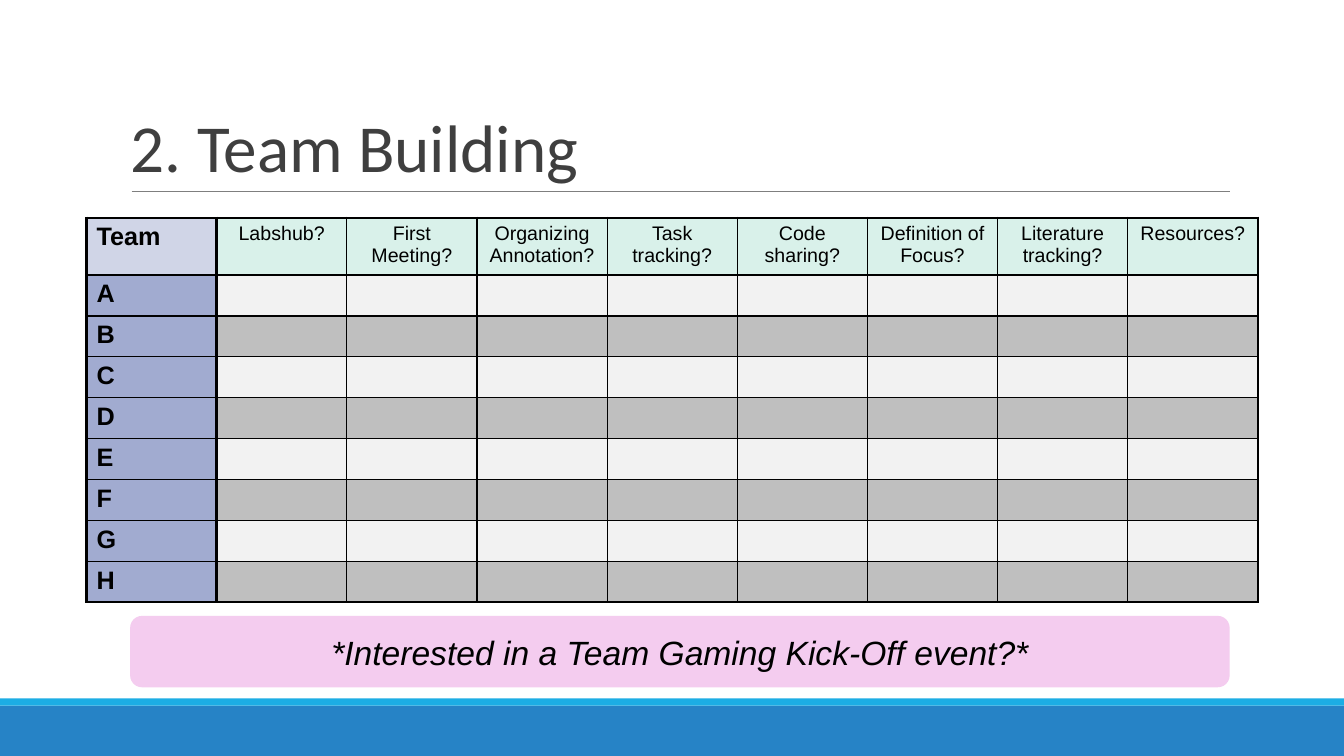
import dataclasses

import pptx
import pptx.dml.color
import pptx.enum.shapes
import pptx.enum.text
import pptx.oxml
import pptx.oxml.ns
import pptx.util

Cm, Pt = pptx.util.Cm, pptx.util.Pt
ALIGN = pptx.enum.text.PP_ALIGN
ANCHOR = pptx.enum.text.MSO_ANCHOR
SHAPE = pptx.enum.shapes.MSO_SHAPE


@dataclasses.dataclass(frozen=True)
class Theme:
    """Colours, fonts and type sizes of the slide."""
    footer: str = "2683C6"
    footer_edge: str = "1CADE4"
    rule: str = "7F7F7F"
    title: str = "3F3F3F"
    ink: str = "000000"
    corner: str = "D0D5E7"
    header: str = "D9F1EA"
    team: str = "A1ABD0"
    bands: tuple = ("F2F2F2", "BFBFBF")
    banner: str = "F4CCEF"
    title_font: str = "Calibri"
    body_font: str = "Arial"
    title_size: float = 48
    banner_size: float = 24
    team_size: float = 18
    header_size: float = 14
    thick: float = 2.25
    thin: float = 1


THEME = Theme()
QUESTIONS = ["Labshub?", "First Meeting?", "Organizing Annotation?",
             "Task tracking?", "Code sharing?", "Definition of Focus?",
             "Literature tracking?", "Resources?"]
TEAMS = "ABCDEFGH"


def rgb(value):
    """Return a colour object for a hex string."""
    return pptx.dml.color.RGBColor.from_string(value)


def write(frame, text, color=THEME.ink, align=ALIGN.LEFT, spacing=None, **font):
    """Put one formatted paragraph into a text frame."""
    paragraph = frame.paragraphs[0]
    paragraph.alignment = align
    paragraph.line_spacing = spacing
    run = paragraph.add_run()
    run.text = text
    for name, value in font.items():
        setattr(run.font, name, value)
    run.font.color.rgb = rgb(color)


def add_block(slide, kind, box, color):
    """Add a plain filled shape without outline."""
    block = slide.shapes.add_shape(kind, *map(Cm, box))
    block.shadow.inherit = False
    block.fill.solid()
    block.fill.fore_color.rgb = rgb(color)
    block.line.fill.background()
    return block


def add_rule(slide, left, right, y):
    """Add the thin horizontal line below the title."""
    rule = slide.shapes.add_connector(
        pptx.enum.shapes.MSO_CONNECTOR.STRAIGHT, Cm(left), Cm(y), Cm(right), Cm(y))
    rule.line.color.rgb = rgb(THEME.rule)
    rule.line.width = Pt(0.75)
    rule._element.spPr.append(pptx.oxml.parse_xml(
        f'<a:effectLst {pptx.oxml.ns.nsdecls("a")}/>'))


def add_title(slide, text, box):
    """Add the bottom-anchored slide title."""
    frame = slide.shapes.add_textbox(*map(Cm, box)).text_frame
    frame.word_wrap = True
    frame.vertical_anchor = ANCHOR.BOTTOM
    write(frame, text, THEME.title, spacing=0.85,
          name=THEME.title_font, size=Pt(THEME.title_size))


def add_banner(slide, text, box):
    """Add the rounded call-out with centred italic text."""
    frame = add_block(slide, SHAPE.ROUNDED_RECTANGLE, box, THEME.banner).text_frame
    frame.word_wrap = True
    frame.vertical_anchor = ANCHOR.MIDDLE
    write(frame, text, align=ALIGN.CENTER, name=THEME.body_font,
          size=Pt(THEME.banner_size), italic=True)


def set_borders(cell, thick_sides):
    """Draw all four cell borders, heavier on the given sides."""
    properties = cell._tc.get_or_add_tcPr()
    for side in "LRTB":
        width = Pt(THEME.thick if side in thick_sides else THEME.thin)
        properties.append(pptx.oxml.parse_xml(
            f'<a:ln{side} {pptx.oxml.ns.nsdecls("a")} w="{width}"><a:solidFill>'
            f'<a:srgbClr val="{THEME.ink}"/></a:solidFill></a:ln{side}>'))


def thick_sides(row, column):
    """Return the sides on the outer frame or along the header edges."""
    last_row, last_column = len(TEAMS), len(QUESTIONS)
    rules = {"L": column <= 1,
             "R": column in (0, last_column),
             "T": row == 0 or (row == 1 and column > 0),
             "B": row == last_row or (row == 0 and column > 0)}
    return {side for side, heavy in rules.items() if heavy}


def cell_fill(row, column):
    """Return the colour of a cell by its place in the grid."""
    if row == 0:
        return THEME.header if column else THEME.corner
    return THEME.bands[(row - 1) % 2] if column else THEME.team


def add_checklist(slide, left, top, column_width, header_height, row_height):
    """Add the grid of teams against questions."""
    rows, columns = len(TEAMS) + 1, len(QUESTIONS) + 1
    checklist = slide.shapes.add_table(
        rows, columns, Cm(left), Cm(top), Cm(column_width * columns),
        Cm(header_height + row_height * len(TEAMS))).table
    for column in checklist.columns:
        column.width = Cm(column_width)
    for index, row in enumerate(checklist.rows):
        row.height = Cm(row_height if index else header_height)
        for place, cell in enumerate(row.cells):
            set_borders(cell, thick_sides(index, place))
            cell.fill.solid()
            cell.fill.fore_color.rgb = rgb(cell_fill(index, place))
    for index, label in enumerate(["Team", *TEAMS]):
        write(checklist.cell(index, 0).text_frame, label, name=THEME.body_font,
              size=Pt(THEME.team_size), bold=True)
    for place, question in enumerate(QUESTIONS, 1):
        write(checklist.cell(0, place).text_frame, question, align=ALIGN.CENTER,
              name=THEME.body_font, size=Pt(THEME.header_size), bold=False)


def main():
    """Build the team building slide and save it."""
    deck = pptx.Presentation()
    deck.slide_width, deck.slide_height = Cm(33.87), Cm(19.05)
    slide = deck.slides.add_slide(deck.slide_layouts[6])
    add_block(slide, SHAPE.RECTANGLE, (0, 17.78, 33.87, 1.27), THEME.footer)
    add_block(slide, SHAPE.RECTANGLE, (0, 17.6, 33.87, 0.18), THEME.footer_edge)
    add_rule(slide, 3.32, 31, 4.82)
    add_title(slide, "2. Team Building", (3.05, 0.8, 27.94, 4.03))
    add_checklist(slide, left=2.18, top=5.49, column_width=3.28,
                  header_height=1.36, row_height=1.03)
    add_banner(slide, "*Interested in a Team Gaming Kick-Off event?*",
               (3.28, 15.52, 27.71, 1.8))
    deck.save("out.pptx")


if __name__ == "__main__":
    main()
